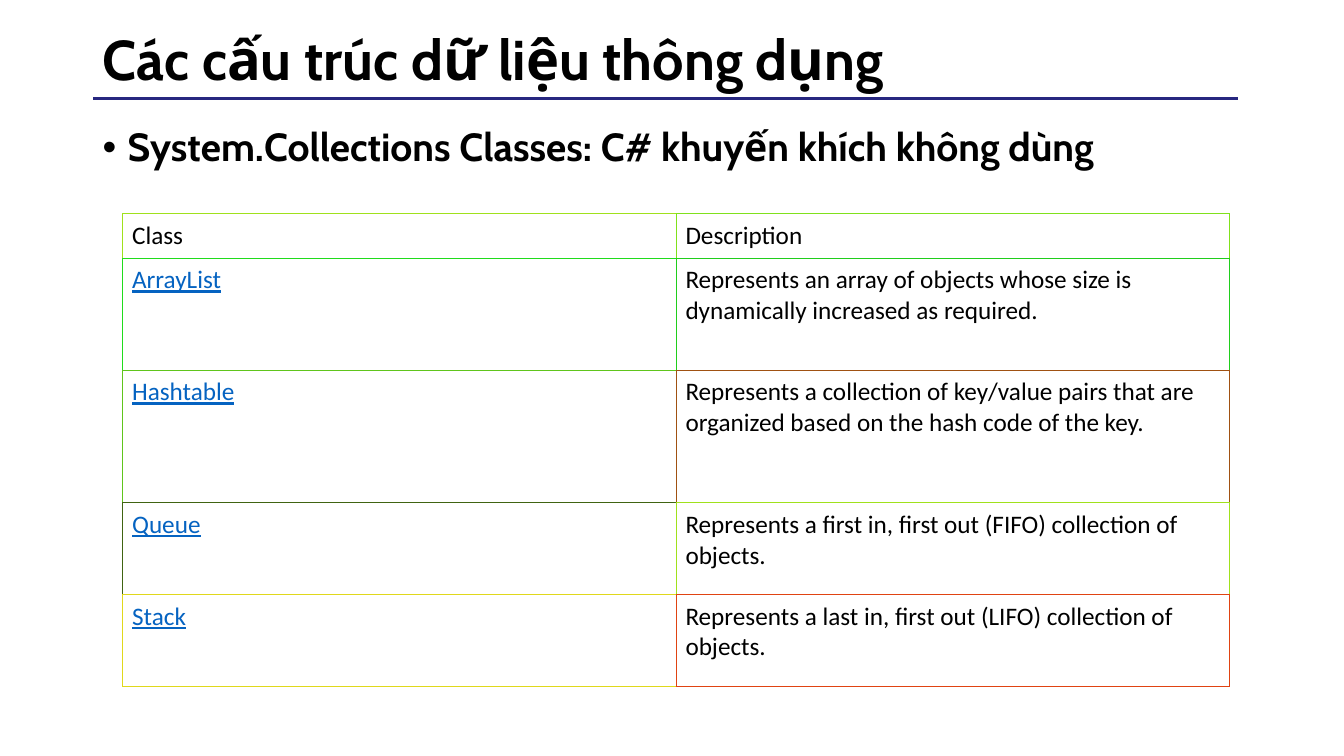
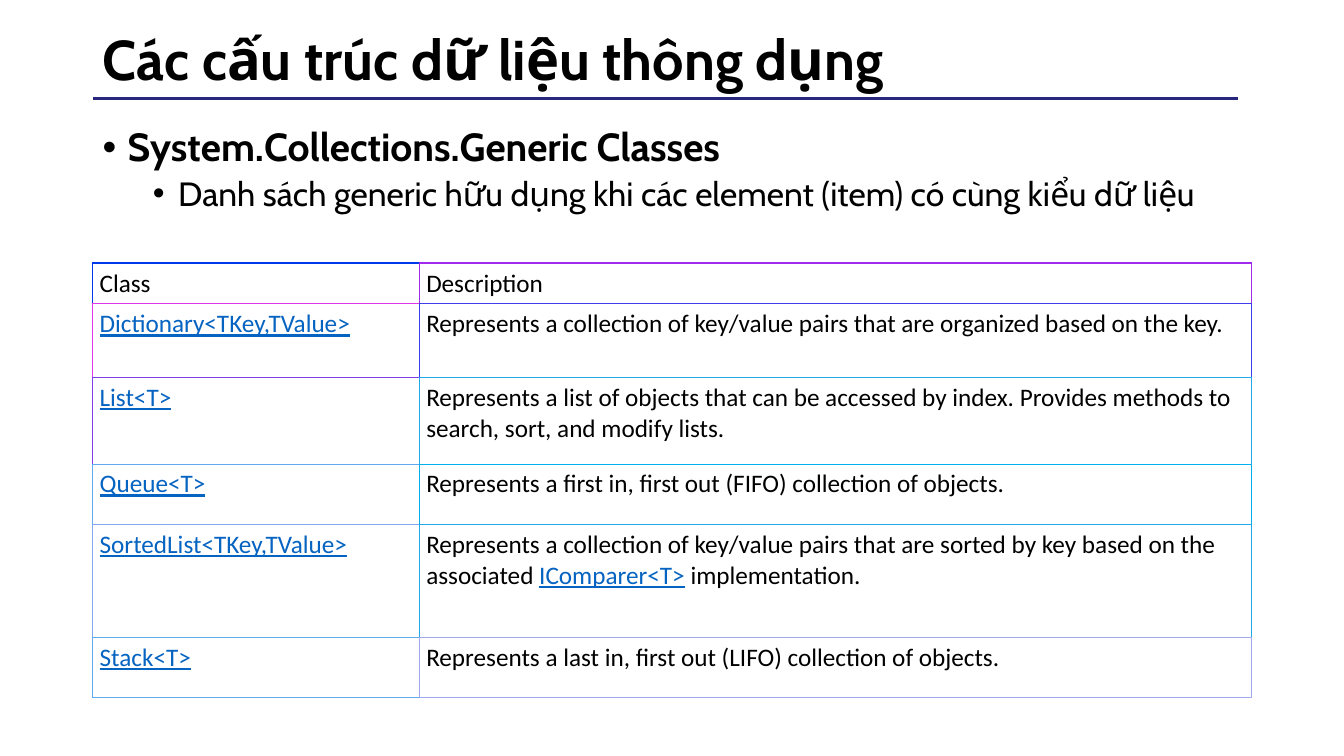
import dataclasses

import pptx
import pptx.dml.color
import pptx.enum.shapes
import pptx.enum.text
import pptx.oxml.ns
import pptx.util
from lxml import etree

Pt = pptx.util.Pt
qn = pptx.oxml.ns.qn
ANCHOR = pptx.enum.text.MSO_ANCHOR


@dataclasses.dataclass(frozen=True)
class Theme:
    """Colours, fonts and type sizes of the deck."""
    ink: str = "000000"
    paper: str = "FFFFFF"
    rule: str = "272780"
    link: str = "0563C1"
    heading_font: str = "Cabin"
    table_font: str = "Calibri"
    title_size: int = 40
    topic_size: int = 28
    detail_size: int = 24
    table_size: int = 18


THEME = Theme()
TITLE = "Các cấu trúc dữ liệu thông dụng"
TITLE_BOX = (66.2, 12.2, 828, 64.1)
RULE_BOX = (66.2, 70.6, 818, 0)
TOPIC_BOX = (66.2, 87.8, 828, 398)


def rgb(code):
    """Turn a hex code into a colour."""
    return pptx.dml.color.RGBColor.from_string(code)


def add_text(paragraph, text, font=THEME.heading_font, size=THEME.table_size,
             color=THEME.ink, bold=False, underline=False):
    """Append one formatted run to a paragraph."""
    run = paragraph.add_run()
    run.text = text
    run.font.name = font
    run.font.size = Pt(size)
    run.font.color.rgb = rgb(color)
    run.font.bold = bold
    run.font.underline = underline


def add_frame(slide, box, anchor=ANCHOR.TOP):
    """Place a wrapping text box and return its text frame."""
    frame = slide.shapes.add_textbox(*map(Pt, box)).text_frame
    frame.word_wrap = True
    frame.vertical_anchor = anchor
    return frame


def add_heading(slide, title_box, rule_box):
    """Draw the shared title and the rule beneath it."""
    left, top, width, height = rule_box
    rule = slide.shapes.add_connector(
        pptx.enum.shapes.MSO_CONNECTOR.STRAIGHT,
        Pt(left + width), Pt(top), Pt(left), Pt(top + height))
    rule.line.color.rgb = rgb(THEME.rule)
    rule.line.width = Pt(2)
    etree.SubElement(rule._element.spPr, qn("a:effectLst"))
    title = add_frame(slide, title_box, ANCHOR.MIDDLE).paragraphs[0]
    title.line_spacing = 0.9
    add_text(title, TITLE, size=THEME.title_size, bold=True)


def add_topics(slide, box, topic, detail=None):
    """Write the bold topic bullet and an optional detail bullet below it."""
    frame = add_frame(slide, box)
    bullets = [(topic, 0, 18, 10, THEME.topic_size, True)]
    if detail:
        bullets.append((detail, 1, 54, 5, THEME.detail_size, False))
    for index, (text, level, indent, gap, size, bold) in enumerate(bullets):
        paragraph = frame.add_paragraph() if index else frame.paragraphs[0]
        paragraph.level = level
        paragraph.line_spacing = 0.9
        paragraph.space_before = Pt(gap)
        properties = paragraph._p.get_or_add_pPr()
        properties.set("marL", str(Pt(indent)))
        properties.set("indent", str(-Pt(18)))
        etree.SubElement(properties, qn("a:buFont"), typeface="Arial")
        etree.SubElement(properties, qn("a:buChar"), char="•")
        add_text(paragraph, text, size=size, bold=bold)


def set_borders(cell, borders):
    """Set (colour, width) borders in the order left, right, top, bottom."""
    properties = cell._tc.get_or_add_tcPr()
    for index, (side, (color, width)) in enumerate(zip("LRTB", borders)):
        edge = etree.Element(qn("a:ln" + side), w=str(Pt(width)))
        fill = etree.SubElement(edge, qn("a:solidFill"))
        etree.SubElement(fill, qn("a:srgbClr"), val=color)
        properties.insert(index, edge)


def add_class_table(slide, box, columns, heights, rows, tints, inset):
    """Draw the class table; each cell's tint borders its left and top.

    In cell text, every second part between bars is styled as a link.
    """
    left, top = box
    frame = slide.shapes.add_table(
        len(rows), len(columns), Pt(left), Pt(top),
        Pt(sum(columns)), Pt(sum(heights)))
    table = frame.table
    table.first_row = table.horz_banding = False
    for column, width in zip(table.columns, columns):
        column.width = Pt(width)
    for row, height in zip(table.rows, heights):
        row.height = Pt(height)
    last_row, last_column = len(rows) - 1, len(columns) - 1
    for r, row in enumerate(rows):
        for c, content in enumerate(row):
            cell = table.cell(r, c)
            cell.fill.solid()
            cell.fill.fore_color.rgb = rgb(THEME.paper)
            cell.vertical_anchor = ANCHOR.TOP if r else ANCHOR.BOTTOM
            cell.margin_left = cell.margin_right = Pt(inset[0])
            cell.margin_top = cell.margin_bottom = Pt(inset[1])
            paragraph = cell.text_frame.paragraphs[0]
            for part, text in enumerate(content.split("|")):
                linked = part % 2 == 1
                if text:
                    add_text(paragraph, text, font=THEME.table_font,
                             color=THEME.link if linked else THEME.ink,
                             underline=linked)
            set_borders(cell, [
                (tints[r][c], 1),
                (tints[r][min(c + 1, last_column)], 1),
                (tints[r][c], 0.5 if r else 1),
                (tints[min(r + 1, last_row)][c], 0.5 if r < last_row else 1)])


def add_class_slide(deck, topic, detail=None, **table):
    """Build one slide: heading, topic bullets and class table."""
    slide = deck.slides.add_slide(deck.slide_layouts[6])
    add_heading(slide, TITLE_BOX, RULE_BOX)
    add_topics(slide, TOPIC_BOX, topic, detail)
    add_class_table(slide, **table)


HEADER = ("Class", "Description")
QUEUE = "Represents a first in, first out (FIFO) collection of objects."
STACK = "Represents a last in, first out (LIFO) collection of objects."

deck = pptx.Presentation()
deck.slide_width, deck.slide_height = Pt(960), Pt(540)

add_class_slide(
    deck, "System.Collections Classes: C# khuyến khích không dùng",
    box=(87.8, 152.6), columns=(395.3, 395.3),
    heights=(31.7, 80, 94.5, 65.7, 65.7), inset=(6.6, 5),
    rows=[
        HEADER,
        ("|ArrayList", "Represents an array of objects whose size is "
                       "dynamically increased as required."),
        ("|Hashtable", "Represents a collection of key/value pairs that are "
                       "organized based on the hash code of the key."),
        ("|Queue", QUEUE),
        ("|Stack", STACK)],
    tints=[("A0E11C", "80E11C"), ("20DC1C", "20CE1C"), ("60C51C", "A05112"),
           ("406412", "A0E11C"), ("E0D81C", "E04312")])

add_class_slide(
    deck, "System.Collections.Generic Classes",
    "Danh sách generic hữu dụng khi các element (item) có cùng kiểu dữ liệu",
    box=(66.2, 187.9), columns=(233.3, 594.7),
    heights=(29, 52.6, 61.9, 43.2, 80.6, 43.2), inset=(5, 3.6),
    rows=[
        HEADER,
        ("|Dictionary<TKey,TValue>", "Represents a collection of key/value "
                                     "pairs that are organized based on the key."),
        ("|List<T>", "Represents a list of objects that can be accessed by "
                     "index. Provides methods to search, sort, and modify lists."),
        ("|Queue<T>", QUEUE),
        ("|SortedList<TKey,TValue>",
         "Represents a collection of key/value pairs that are sorted by key "
         "based on the associated\u00a0|IComparer<T>|\u00a0implementation."),
        ("|Stack<T>", STACK)],
    tints=[("0039EC", "A02BEC"), ("E037EC", "403FEC"), ("803DEC", "20AAED"),
           ("60ABED", "00AFED"), ("80A8ED", "20AAED"), ("60ABED", "A0AAED")])

deck.save("out.pptx")
